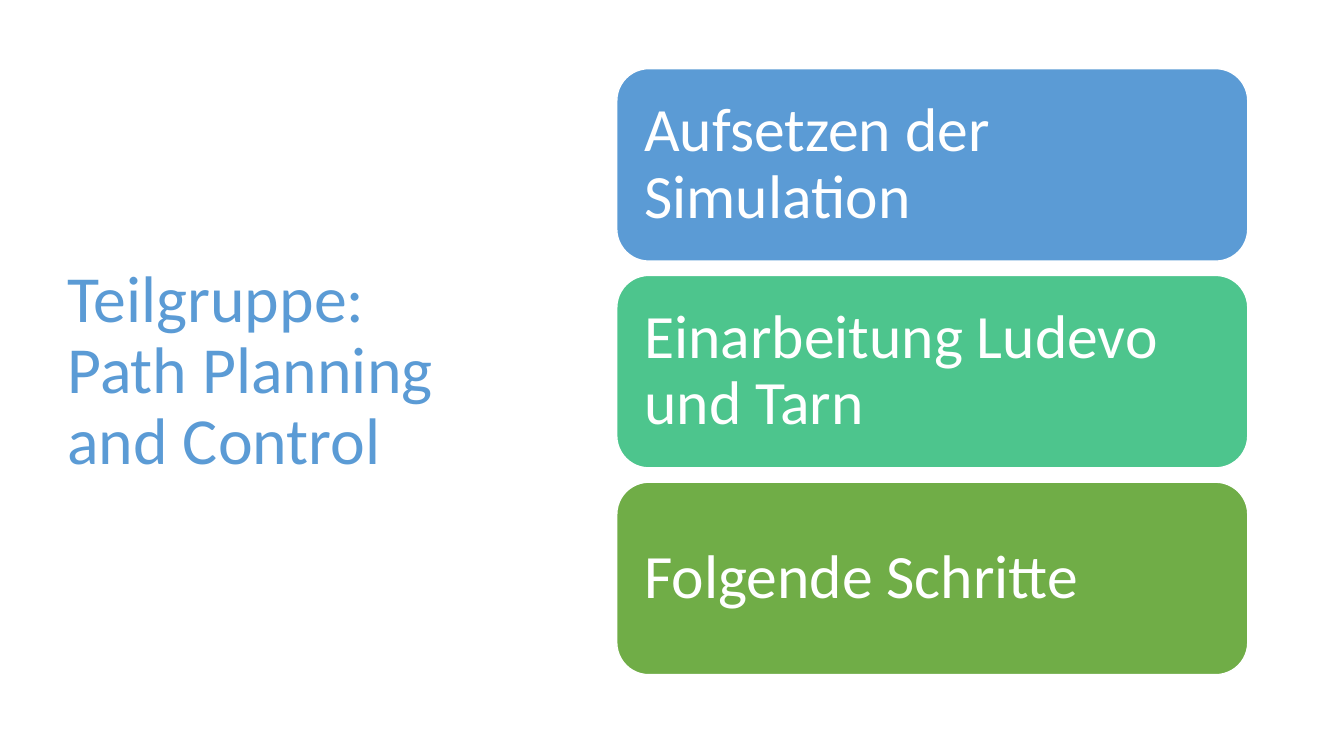
from pptx import Presentation
from pptx.dml.color import RGBColor
from pptx.enum.shapes import MSO_SHAPE
from pptx.enum.text import MSO_ANCHOR, MSO_AUTO_SIZE, PP_ALIGN
from pptx.util import Pt

BLUE = RGBColor(0x5B, 0x9B, 0xD5)
MINT = RGBColor(0x4D, 0xC5, 0x8D)
GREEN = RGBColor(0x70, 0xAD, 0x47)
WHITE = RGBColor(0xFF, 0xFF, 0xFF)

TITLE = "Teilgruppe: Path Planning and Control"
TOPICS = [
    ("Aufsetzen der Simulation", BLUE),
    ("Einarbeitung Ludevo und Tarn", MINT),
    ("Folgende Schritte", GREEN),
]

TOP = 49
CARD_LEFT, CARD_W, CARD_H, CARD_GAP = 440.6, 450.7, 137.5, 10.2
TITLE_LEFT, TITLE_W, TITLE_H = 41, 276, 433.4


def write(shape, text, size, color, inset_x, inset_y):
    tf = shape.text_frame
    frame = dict(word_wrap=True, auto_size=MSO_AUTO_SIZE.NONE,
                 vertical_anchor=MSO_ANCHOR.MIDDLE,
                 margin_left=Pt(inset_x), margin_right=Pt(inset_x),
                 margin_top=Pt(inset_y), margin_bottom=Pt(inset_y))
    for name, value in frame.items():
        setattr(tf, name, value)
    p = tf.paragraphs[0]
    p.alignment = PP_ALIGN.LEFT
    p.line_spacing = 0.9
    r = p.add_run()
    r.text = text
    for name, value in dict(name="Calibri", size=Pt(size), bold=False).items():
        setattr(r.font, name, value)
    r.font.color.rgb = color


prs = Presentation()
prs.slide_width, prs.slide_height = Pt(960), Pt(540)
s = prs.slides.add_slide(prs.slide_layouts[5])

title = s.shapes.title
place = dict(left=TITLE_LEFT, top=TOP, width=TITLE_W, height=TITLE_H)
for name, value in place.items():
    setattr(title, name, Pt(value))
write(title, TITLE, 47, BLUE, 7.2, 3.6)

for i, (topic, color) in enumerate(TOPICS):
    top = TOP + i * (CARD_H + CARD_GAP)
    card = s.shapes.add_shape(MSO_SHAPE.ROUNDED_RECTANGLE, Pt(CARD_LEFT),
                              Pt(top), Pt(CARD_W), Pt(CARD_H))
    card.shadow.inherit = False
    card.fill.solid()
    card.fill.fore_color.rgb = color
    card.line.color.rgb = WHITE
    card.line.width = Pt(1)
    write(card, topic, 44, WHITE, 13, 13)

prs.save("out.pptx")
